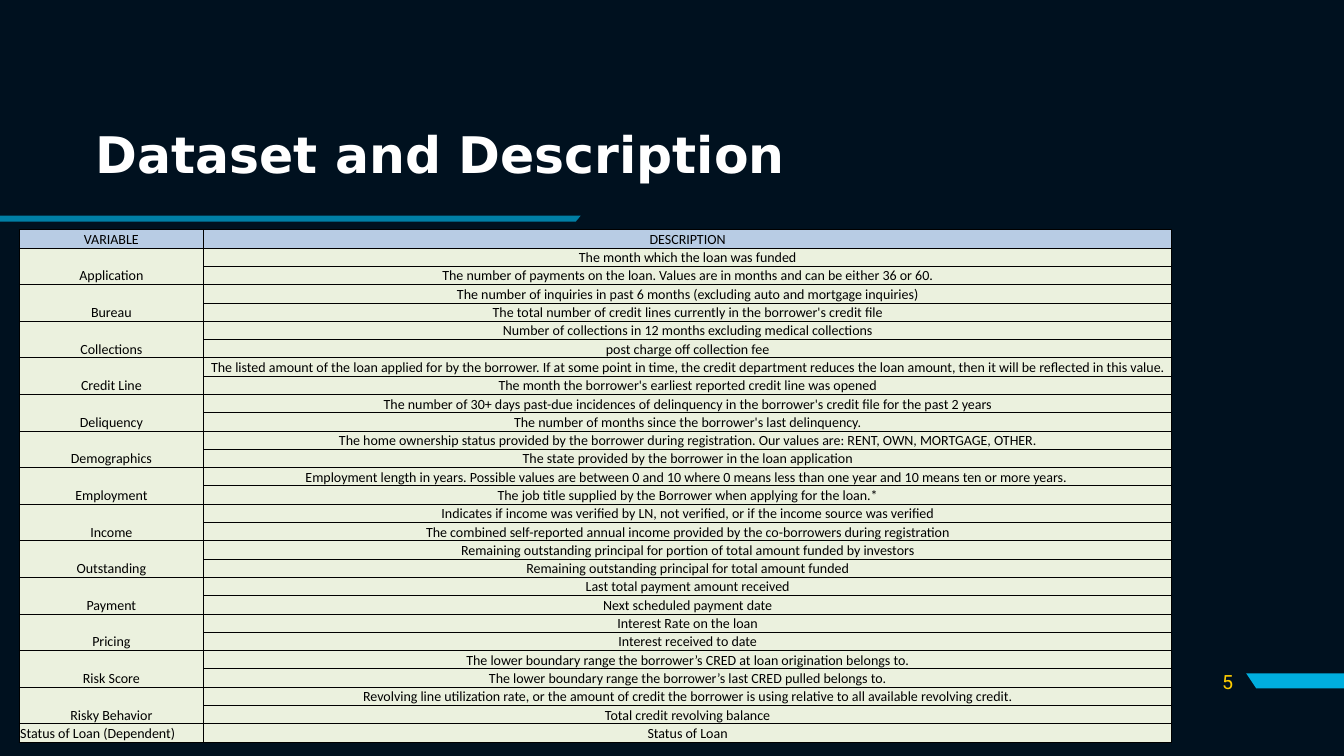
from lxml.etree import SubElement
from pptx import Presentation
from pptx.dml.color import RGBColor
from pptx.enum.text import MSO_ANCHOR, PP_ALIGN
from pptx.oxml.ns import qn
from pptx.util import Inches, Pt

WIDE, HIGH = 13.33, 7.5
NAVY = RGBColor(0x00, 0x11, 0x1F)
CYAN = RGBColor(0x00, 0xAE, 0xDE)
GOLD = RGBColor(0xFF, 0xCD, 0x00)
WHITE = RGBColor(0xFF, 0xFF, 0xFF)
BLACK = RGBColor(0x00, 0x00, 0x00)
BLUE = RGBColor(0xB8, 0xCC, 0xE4)
GREEN = RGBColor(0xEB, 0xF1, 0xDE)

HEAD = ("VARIABLE", "DESCRIPTION")
GROUPS = [
    ("Application", "The month which the loan was funded",
     "The number of payments on the loan. Values are in months and can be either 36 or 60."),
    ("Bureau", "The number of inquiries in past 6 months (excluding auto and mortgage inquiries)",
     "The total number of credit lines currently in the borrower's credit file"),
    ("Collections", "Number of collections in 12 months excluding medical collections",
     "post charge off collection fee"),
    ("Credit Line", "The listed amount of the loan applied for by the borrower. If at some point in time, "
     "the credit department reduces the loan amount, then it will be reflected in this value.",
     "The month the borrower's earliest reported credit line was opened"),
    ("Deliquency", "The number of 30+ days past-due incidences of delinquency in the borrower's "
     "credit file for the past 2 years",
     "The number of months since the borrower's last delinquency."),
    ("Demographics", "The home ownership status provided by the borrower during registration. "
     "Our values are: RENT, OWN, MORTGAGE, OTHER.",
     "The state provided by the borrower in the loan application"),
    ("Employment", "Employment length in years. Possible values are between 0 and 10 where 0 means "
     "less than one year and 10 means ten or more years. ",
     "The job title supplied by the Borrower when applying for the loan.*"),
    ("Income", "Indicates if income was verified by LN, not verified, or if the income source was verified",
     "The combined self-reported annual income provided by the co-borrowers during registration"),
    ("Outstanding", "Remaining outstanding principal for portion of total amount funded by investors",
     "Remaining outstanding principal for total amount funded"),
    ("Payment", "Last total payment amount received", "Next scheduled payment date"),
    ("Pricing", "Interest Rate on the loan", "Interest received to date"),
    ("Risk Score", "The lower boundary range the borrower’s CRED at loan origination belongs to.",
     "The lower boundary range the borrower’s last CRED pulled belongs to."),
    ("Risky Behavior", "Revolving line utilization rate, or the amount of credit the borrower is using "
     "relative to all available revolving credit.",
     "Total credit revolving balance"),
    ("Status of Loan (Dependent)", "Status of Loan"),
]


def write(frame, text, font="Calibri", size=10, color=BLACK, bold=False,
          align=PP_ALIGN.CENTER, space=None):
    para = frame.paragraphs[0]
    para.alignment = align
    para.line_spacing = space
    run = para.add_run()
    run.text = text
    run.font.name, run.font.size, run.font.bold = font, Pt(size), bold
    run.font.color.rgb = color


def label(slide, box, text, **style):
    frame = slide.shapes.add_textbox(*map(Inches, box)).text_frame
    frame.word_wrap = True
    frame.vertical_anchor = MSO_ANCHOR.MIDDLE
    write(frame, text, **style)


def bar(slide, box, left=0, right=0, alpha=100):
    """Draw a bar whose lower corners are cut inwards by left and right."""
    x, y, w, h = box
    points = [(x, y), (x + w, y), (x + w - right, y + h), (x + left, y + h)]
    start, *rest = [(Inches(px), Inches(py)) for px, py in points]
    path = slide.shapes.build_freeform(*start)
    path.add_line_segments(rest, close=True)
    shape = path.convert_to_shape()
    shape.shadow.inherit = False
    shape.line.fill.background()
    shape.fill.solid()
    shape.fill.fore_color.rgb = CYAN
    tint = shape.fill._xPr.find(qn("a:solidFill"))[0]
    SubElement(tint, qn("a:alpha"), val=str(alpha * 1000))


def edge(cell):
    """Give all four sides of a cell a thin black line."""
    props = cell._tc.get_or_add_tcPr()
    for side in ("lnL", "lnR", "lnT", "lnB"):
        line = SubElement(props, qn(f"a:{side}"), w=str(Pt(0.75)))
        fill = SubElement(line, qn("a:solidFill"))
        SubElement(fill, qn("a:srgbClr"), val=str(BLACK))


def fill_cell(cell, text, fill, align=PP_ALIGN.CENTER):
    edge(cell)
    cell.fill.solid()
    cell.fill.fore_color.rgb = fill
    cell.margin_left = cell.margin_right = cell.margin_top = Inches(0.01)
    cell.margin_bottom = 0
    cell.vertical_anchor = MSO_ANCHOR.BOTTOM
    write(cell.text_frame, text, align=align)


def grid(slide, box, share):
    """Place the table; share is the first column's part of the width."""
    x, y, w, h = map(Inches, box)
    count = 1 + sum(len(group) - 1 for group in GROUPS)
    table = slide.shapes.add_table(count, 2, x, y, w, h).table
    table.columns[0].width = int(w * share)
    table.columns[1].width = w - table.columns[0].width
    for row in table.rows:
        row.height = h // count
    for col, text in enumerate(HEAD):
        fill_cell(table.cell(0, col), text, BLUE)
    top = 1
    for name, *notes in GROUPS:
        last = top + len(notes) - 1
        align = PP_ALIGN.CENTER if last > top else PP_ALIGN.LEFT
        for row, note in enumerate(notes, top):
            fill_cell(table.cell(row, 0), name if row == top else "", GREEN, align)
            fill_cell(table.cell(row, 1), note, GREEN)
        if last > top:
            table.cell(top, 0).merge(table.cell(last, 0))
        top = last + 1


def header(slide, box):
    x, y, w, h = box
    label(slide, (x + 0.85, y, 7.41, 0.86), "Dataset and Description", font="DejaVu Sans",
          size=36, color=WHITE, bold=True, align=PP_ALIGN.LEFT, space=0.9)
    bar(slide, (x, y + h - 0.06, w, 0.06), right=0.05, alpha=70)


def footer(slide, box):
    x, y, w, h = box
    label(slide, (x, y, 0.6, h), "5", font="Roboto", size=14, color=GOLD, align=PP_ALIGN.RIGHT)
    bar(slide, (x + 0.63, y + 0.12, w - 0.63, 0.15), left=0.1)


def main():
    deck = Presentation()
    deck.slide_width, deck.slide_height = Inches(WIDE), Inches(HIGH)
    slide = deck.slides.add_slide(deck.slide_layouts[6])
    back = slide.background.fill
    back.solid()
    back.fore_color.rgb = NAVY
    header(slide, (0, 1.13, 5.76, 1.07))
    footer(slide, (11.73, 6.56, WIDE - 11.73, 0.4))
    grid(slide, (0.19, 2.28, 11.43, 5.09), 0.16)
    deck.save("out.pptx")


if __name__ == "__main__":
    main()
